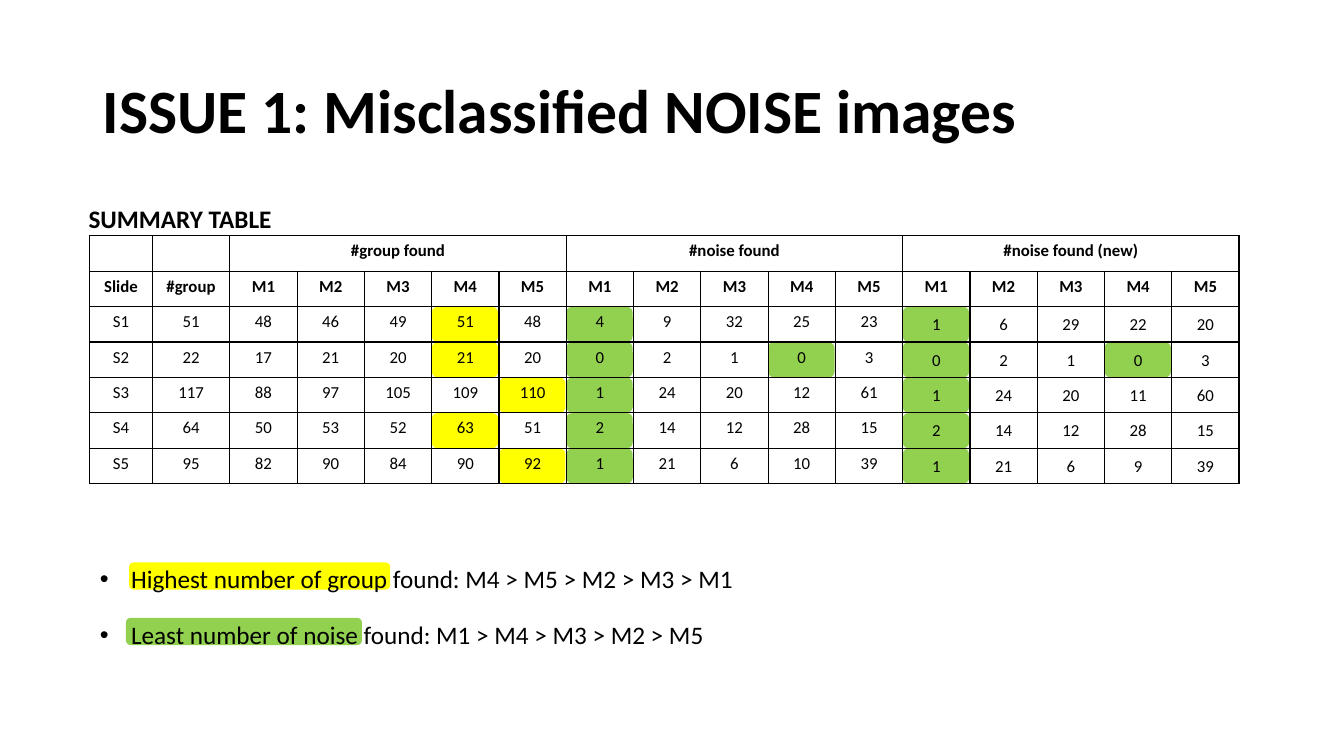
import pptx
import pptx.util
import pptx.dml.color
import pptx.enum.shapes
import pptx.enum.text
import pptx.oxml.ns
import lxml.etree

Inches, Pt = pptx.util.Inches, pptx.util.Pt
PP_ALIGN = pptx.enum.text.PP_ALIGN
MIDDLE = pptx.enum.text.MSO_ANCHOR.MIDDLE
qn = pptx.oxml.ns.qn
BLACK, YELLOW, GREEN = "000000", "FFFF00", "92D050"


def paint(fmt, color):
    """Give a fill or a line fill a solid colour."""
    fmt.solid()
    fmt.fore_color.rgb = pptx.dml.color.RGBColor.from_string(color)


def write(p, text, size=18, bold=False, color=BLACK, align=PP_ALIGN.LEFT, spacing=1.0, before=0):
    p.alignment, p.line_spacing, p.space_before = align, spacing, Pt(before)
    r = p.add_run()
    r.text = text
    r.font.name, r.font.size, r.font.bold = "Calibri", Pt(size), bold
    paint(r.font.fill, color)


prs = pptx.Presentation()
prs.slide_width, prs.slide_height = Inches(13.33), Inches(7.5)
s = prs.slides.add_slide(prs.slide_layouts[1])

# Title
title = s.shapes.title
title.left, title.top, title.width, title.height = [Inches(v) for v in (0.92, 0.4, 11.5, 1.45)]
title.text_frame.vertical_anchor = MIDDLE
write(title.text_frame.paragraphs[0], "ISSUE 1: Misclassified NOISE images", size=44, bold=True, spacing=0.9)

# Results: slide, groups, then M1 to M5 for each of the three measures
METHODS = ["M1", "M2", "M3", "M4", "M5"]
MEASURES = ["#group found", "#noise found", "#noise found (new)"]
RESULTS = [
    ["S1", 51, 48, 46, 49, 51, 48, 4, 9, 32, 25, 23, 1, 6, 29, 22, 20],
    ["S2", 22, 17, 21, 20, 21, 20, 0, 2, 1, 0, 3, 0, 2, 1, 0, 3],
    ["S3", 117, 88, 97, 105, 109, 110, 1, 24, 20, 12, 61, 1, 24, 20, 11, 60],
    ["S4", 64, 50, 53, 52, 63, 51, 2, 14, 12, 28, 15, 2, 14, 12, 28, 15],
    ["S5", 95, 82, 90, 84, 90, 92, 1, 21, 6, 10, 39, 1, 21, 6, 9, 39],
]
BEST_GROUP = ["M4", "M4", "M5", "M4", "M5"]
LEFT, TOP, WIDTH, HEIGHT = 0.89, 2.34, 11.4, 2.46
SLIDE_W, GROUP_W = 0.62, 0.77
METHOD_W = (WIDTH - SLIDE_W - GROUP_W) / 15
ROW_H = HEIGHT / 7

# Highlights: best group count and least noise in each row, then the legend
marks = []
for i, row in enumerate(RESULTS):
    cells = [(2 + METHODS.index(BEST_GROUP[i]), YELLOW)]
    for first in (7, 12):
        least = min(row[first:first + 5])
        cells += [(c, GREEN) for c in range(first, first + 5) if row[c] == least]
    for c, color in cells:
        x = LEFT + SLIDE_W + GROUP_W + (c - 2) * METHOD_W
        marks.append((x, TOP + (i + 2) * ROW_H, 0.66, 0.35, color))
marks += [(1.28, 5.58, 2.59, 0.27, YELLOW), (1.25, 6.13, 2.34, 0.27, GREEN)]
for x, y, w, h, color in marks:
    sp = s.shapes.add_shape(pptx.enum.shapes.MSO_SHAPE.ROUNDED_RECTANGLE,
                            Inches(x), Inches(y), Inches(w), Inches(h))
    sp.shadow.inherit = False
    paint(sp.fill, color)
    sp.line.fill.background()

# Table heading
heading = s.shapes.add_textbox(Inches(0.78), Inches(1.97), Inches(2.04), Inches(0.4))
heading.text_frame.word_wrap = True
write(heading.text_frame.paragraphs[0], "SUMMARY TABLE", bold=True)

# Summary table
table = s.shapes.add_table(7, 17, Inches(LEFT), Inches(TOP), Inches(WIDTH), Inches(HEIGHT)).table
table.first_row = table.horz_banding = False
for c, column in enumerate(table.columns):
    column.width = Inches((SLIDE_W, GROUP_W)[c] if c < 2 else METHOD_W)
top_row = [""] * 2 + [text for name in MEASURES for text in [name] + [""] * 4]
for r, values in enumerate([top_row, ["Slide", "#group"] + METHODS * 3] + RESULTS):
    table.rows[r].height = Inches(ROW_H)
    for c, value in enumerate(values):
        cell = table.cell(r, c)
        p = cell.text_frame.paragraphs[0]
        if value == "":
            lxml.etree.SubElement(p._p, qn("a:endParaRPr"), sz="1200")
        else:
            write(p, str(value), size=12, bold=r < 2, align=PP_ALIGN.CENTER)
        if r > 1 and c > 11:
            cell.vertical_anchor = MIDDLE
            cell.margin_left = cell.margin_right = cell.margin_top = Inches(0.01)
            cell.margin_bottom = 0
        # Borders go before the fill
        tc_pr = cell._tc.get_or_add_tcPr()
        for side in ("a:lnL", "a:lnR", "a:lnT", "a:lnB"):
            ln = lxml.etree.SubElement(tc_pr, qn(side), w="12700")
            solid = lxml.etree.SubElement(ln, qn("a:solidFill"))
            lxml.etree.SubElement(solid, qn("a:srgbClr"), val=BLACK)
        cell.fill.background()
for c in (2, 7, 12):
    table.cell(0, c).merge(table.cell(0, c + 4))

# Findings, in front of the legend highlights
body = s.placeholders[1]
body.left, body.top, body.width, body.height = [Inches(v) for v in (0.89, 5.39, 6.68, 1.07)]
body.element.getparent().append(body.element)
tf = body.text_frame
tf.auto_size = pptx.enum.text.MSO_AUTO_SIZE.NONE
FINDINGS = ["Highest number of group found: M4 > M5 > M2 > M3 > M1",
            "Least number of noise found: M1 > M4 > M3 > M2 > M5"]
for i, text in enumerate(FINDINGS):
    p = tf.add_paragraph() if i else tf.paragraphs[0]
    p_pr = p._p.get_or_add_pPr()
    p_pr.set("marL", str(Inches(0.31)))
    p_pr.set("indent", str(-Inches(0.31)))
    lxml.etree.SubElement(p_pr, qn("a:buFont"), typeface="Arial")
    lxml.etree.SubElement(p_pr, qn("a:buChar"), char="•")
    write(p, text, spacing=1.5, before=7.4 * i)

prs.save("out.pptx")
